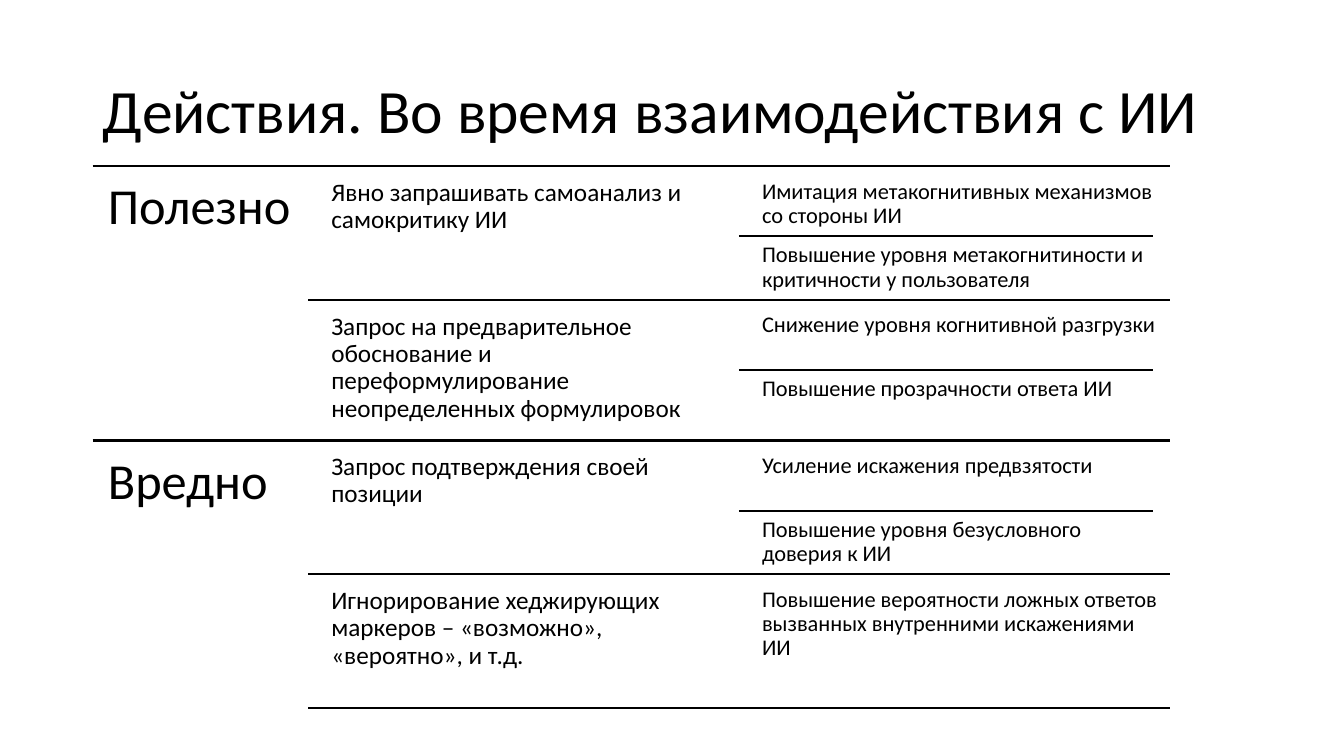
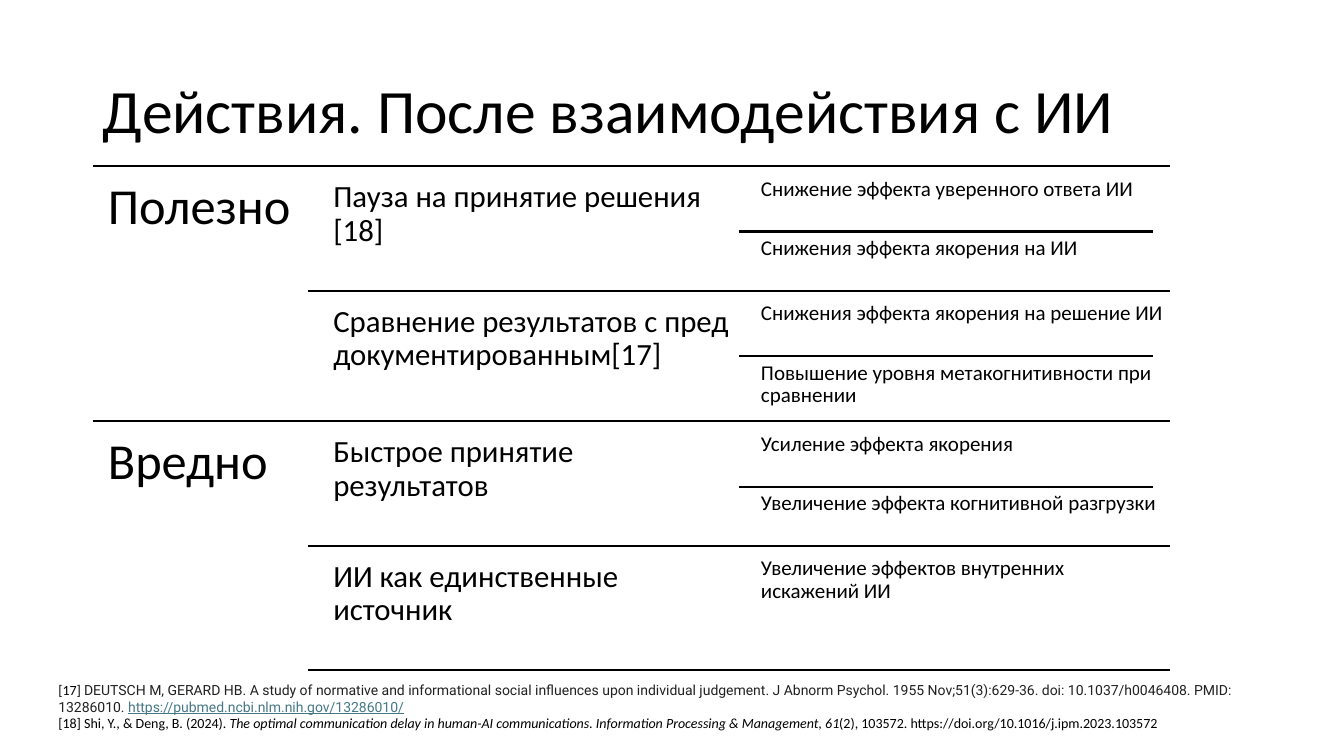
from lxml import etree
from pptx import Presentation
from pptx import util as u
from pptx.dml.color import RGBColor
from pptx.enum import shapes, text
from pptx.oxml.ns import qn

WIDTH, HEIGHT = 13.33, 7.5
TABLE_LEFT, TABLE_TOP, TABLE_WIDTH = 0.92, 1.65, 10.68

# Horizontal places as shares of the table's width
LABEL_SHARE, COLUMN_SHARE, GAP_SHARE = 0.2, 0.385, 0.015
ACTION_SHARE = LABEL_SHARE + GAP_SHARE
EFFECT_SHARE = ACTION_SHARE + COLUMN_SHARE + GAP_SHARE
EFFECT_RULE_SHARE = EFFECT_SHARE - GAP_SHARE

# A section holds two actions of two half-rows each, with three small gaps
GAP_PER_HALF_ROW = 0.1
HALF_ROWS_PER_SECTION = 4 + 3 * GAP_PER_HALF_ROW


def color(hex_string):
    return RGBColor.from_string(hex_string)


class Deck:
    FONT = "Calibri"
    INK = "000000"
    LINK = "467886"
    RULE_WEIGHT = 1.5

    def __init__(self):
        self.file = Presentation()
        self.file.slide_width = u.Inches(WIDTH)
        self.file.slide_height = u.Inches(HEIGHT)
        self.page = None

    def style(self, font, size):
        font.name = self.FONT
        font.size = u.Pt(size)
        font.color.rgb = color(self.INK)

    def add_page(self, title):
        self.page = self.file.slides.add_slide(self.file.slide_layouts[5])
        box = self.page.shapes.title
        box.left, box.top = u.Inches(TABLE_LEFT), u.Inches(0.4)
        box.width, box.height = u.Inches(11.5), u.Inches(1.45)
        frame = box.text_frame
        frame.auto_size = text.MSO_AUTO_SIZE.NONE
        frame.vertical_anchor = text.MSO_ANCHOR.MIDDLE
        para = frame.paragraphs[0]
        para.text = title
        para.alignment = text.PP_ALIGN.LEFT
        para.line_spacing = 0.9
        self.style(para.font, 44)

    def add_box(self, left, top, width, height):
        box = self.page.shapes.add_textbox(*map(u.Inches, (left, top, width, height)))
        box.text_frame.word_wrap = True
        return box.text_frame

    def add_cell(self, words, left_share, width_share, top, height, size, inset):
        frame = self.add_box(TABLE_LEFT + left_share * TABLE_WIDTH, top,
                             width_share * TABLE_WIDTH, height)
        frame.margin_left = frame.margin_right = u.Inches(inset)
        frame.margin_top = frame.margin_bottom = u.Inches(inset)
        para = frame.paragraphs[0]
        para.text = words
        para.line_spacing = 0.9
        self.style(para.font, size)

    def add_rule(self, y, start_share=0, end_share=1):
        start, end = (u.Inches(TABLE_LEFT + share * TABLE_WIDTH)
                      for share in (start_share, end_share))
        rule = self.page.shapes.add_connector(
            shapes.MSO_CONNECTOR.STRAIGHT, start, u.Inches(y), end, u.Inches(y))
        rule.line.color.rgb = color(self.INK)
        rule.line.width = u.Pt(self.RULE_WEIGHT)
        etree.SubElement(rule._element.spPr, qn("a:effectLst"))

    def add_action(self, action, effects, top, height, action_style, effect_style):
        self.add_cell(action, ACTION_SHARE, COLUMN_SHARE, top, height, *action_style)
        effect_height = height / len(effects)
        for index, effect in enumerate(effects):
            y = top + index * effect_height
            if index:
                self.add_rule(y, EFFECT_RULE_SHARE, EFFECT_RULE_SHARE + COLUMN_SHARE)
            self.add_cell(effect, EFFECT_SHARE, COLUMN_SHARE, y, effect_height,
                          *effect_style)

    def add_sections(self, sections, section_height, action_style, effect_style):
        """Draw the ruled table; a style is a text size and an inset."""
        half_row = section_height / HALF_ROWS_PER_SECTION
        gap = GAP_PER_HALF_ROW * half_row
        row = 2 * half_row
        for number, (label, actions) in enumerate(sections):
            top = TABLE_TOP + number * section_height
            self.add_rule(top)
            self.add_cell(label, 0, LABEL_SHARE, top, section_height, 36, 0.15)
            for index, (action, effects) in enumerate(actions):
                y = top + gap + index * (row + gap)
                self.add_action(action, effects, y, row, action_style, effect_style)
                if index < len(actions) - 1 or number == len(sections) - 1:
                    self.add_rule(y + row, LABEL_SHARE)

    def add_references(self, references):
        """Each reference is a list of runs: text and its font differences."""
        frame = self.add_box(0.48, 6.71, 12.37, 0.61)
        for index, spans in enumerate(references):
            para = frame.add_paragraph() if index else frame.paragraphs[0]
            self.style(para.font, 10)
            for words, changes in spans:
                span = para.add_run()
                span.text = words
                for name, value in changes.items():
                    if name == "color":
                        span.font.color.rgb = color(value)
                    else:
                        setattr(span.font, name, value)


DURING = [
    ("Полезно", [
        ("Явно запрашивать самоанализ и самокритику ИИ",
         ["Имитация метакогнитивных механизмов со стороны ИИ",
          "Повышение уровня метакогнитиности и критичности у пользователя"]),
        ("Запрос на предварительное обоснование и переформулирование "
         "неопределенных формулировок",
         ["Снижение уровня когнитивной разгрузки",
          "Повышение прозрачности ответа ИИ"]),
    ]),
    ("Вредно", [
        ("Запрос подтверждения своей позиции",
         ["Усиление искажения предвзятости",
          "Повышение уровня безусловного доверия к ИИ"]),
        ("Игнорирование хеджирующих маркеров – «возможно», «вероятно», и т.д.",
         ["Повышение вероятности ложных ответов вызванных внутренними "
          "искажениями ИИ"]),
    ]),
]

AFTER = [
    ("Полезно", [
        ("Пауза на принятие решения [18]",
         ["Снижение эффекта уверенного ответа ИИ",
          "Снижения эффекта якорения на ИИ"]),
        ("Сравнение результатов с пред документированным[17]",
         ["Снижения эффекта якорения на решение ИИ",
          "Повышение уровня метакогнитивности при сравнении"]),
    ]),
    ("Вредно", [
        ("Быстрое принятие результатов",
         ["Усиление эффекта якорения",
          "Увеличение эффекта когнитивной разгрузки"]),
        ("ИИ как единственные источник",
         ["Увеличение эффектов внутренних искажений ИИ"]),
    ]),
]

REFERENCES = [
    [("[17] ", {}),
     ("DEUTSCH M, GERARD HB. A study of normative and informational social "
      "influences upon individual judgement. J Abnorm Psychol. 1955 "
      "Nov;51(3):629-36. doi: 10.1037/h0046408. PMID: 13286010. ",
      {"name": "Roboto", "color": "212121"}),
     ("https://pubmed.ncbi.nlm.nih.gov/13286010/",
      {"name": "Roboto", "color": Deck.LINK, "underline": True})],
    [("[18] Shi, Y., & Deng, B. (2024). ", {}),
     ("The optimal communication delay in human-AI communications", {"italic": True}),
     (". ", {}),
     ("Information Processing & Management, 61", {"italic": True}),
     ("(2), 103572. https://doi.org/10.1016/j.ipm.2023.103572", {})],
]


def main():
    deck = Deck()
    deck.add_page("Действия. Во время взаимодействия с ИИ")
    deck.add_sections(DURING, 2.72, action_style=(18, 0.07), effect_style=(16, 0.07))
    deck.add_page("Действия. После взаимодействия с ИИ")
    deck.add_sections(AFTER, 2.53, action_style=(22, 0.09), effect_style=(15, 0.06))
    deck.add_references(REFERENCES)
    deck.file.save("out.pptx")


if __name__ == "__main__":
    main()
